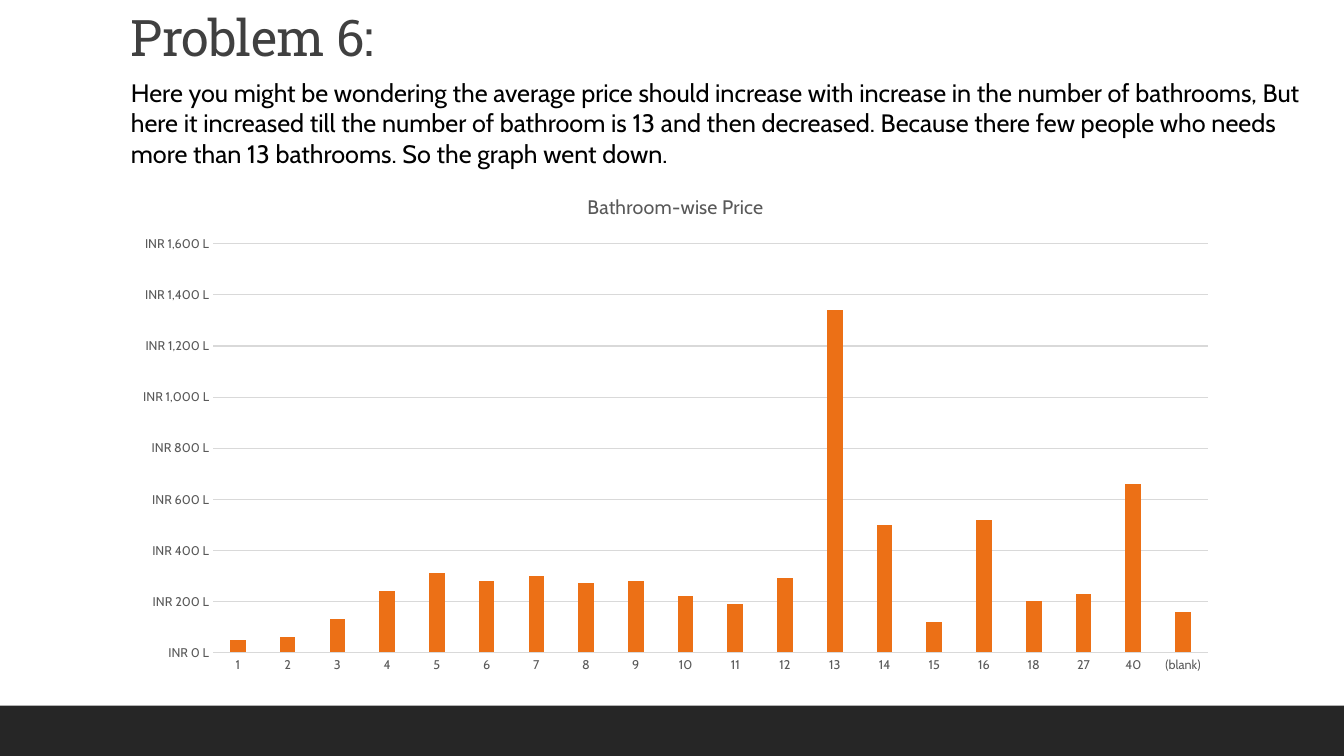
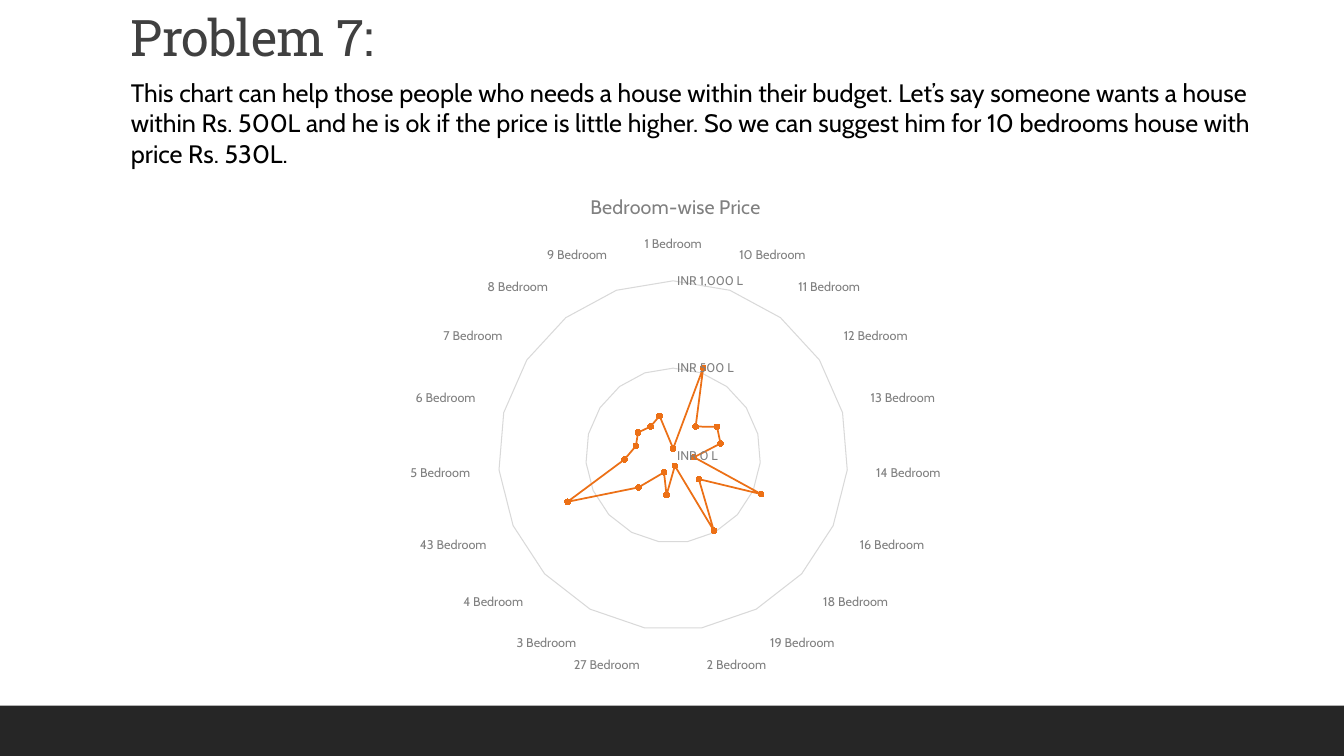
from pptx import Presentation, util as u
from pptx.chart.data import CategoryChartData
from pptx.dml.color import RGBColor
from pptx.enum import chart as ch, shapes, text

WIDTH, HEIGHT = 13.33, 7.5
LEFT, CONTENT_WIDTH = 1.2, 11
TITLE_TOP, BODY_TOP, CHART_TOP, CHART_BOTTOM, BAND_TOP = 0.08, 0.72, 1.73, 6.77, 7
HEADING_FONT, BODY_FONT = "Roboto Slab", "Cabin"
BAND, HEADING, BODY, ACCENT, GRID = "262626", "404040", "000000", "EC7016", "D9D9D9"
PRICE_FORMAT = r"[$INR]\ #,##0\ \L"

PROBLEMS = [
    {
        "heading": "Problem 6:",
        "lines": [
            "Here you might be wondering the average price should increase with increase in the number of bathrooms, But",
            "here it increased till the number of bathroom is 13 and then decreased. Because there few people who needs",
            "more than 13 bathrooms. So the graph went down.",
        ],
        "body_width": 12.02,
        "kind": ch.XL_CHART_TYPE.COLUMN_CLUSTERED,
        "chart_title": "Bathroom-wise Price",
        "label_color": "595959",
        "scale": (1600, 200),
        "prices": [
            ("1", 50), ("2", 60), ("3", 130), ("4", 240), ("5", 310),
            ("6", 280), ("7", 300), ("8", 270), ("9", 280), ("10", 220),
            ("11", 190), ("12", 290), ("13", 1340), ("14", 500), ("15", 120),
            ("16", 520), ("18", 200), ("27", 230), ("40", 660), ("(blank)", 160),
        ],
    },
    {
        "heading": "Problem 7:",
        "lines": [
            "This chart can help those people who needs a house within their budget. Let’s say someone wants a house",
            "within Rs. 500L and he is ok if the price is little higher. So we can suggest him for 10 bedrooms house with",
            "price Rs. 530L.",
        ],
        "body_width": 11.62,
        "kind": ch.XL_CHART_TYPE.RADAR_MARKERS,
        "chart_title": "Bedroom-wise Price",
        "label_color": "808080",
        "scale": (1000, 500),
        "prices": [
            (f"{rooms} Bedroom", price) for rooms, price in [
                (1, 40), (10, 530), (11, 210), (12, 300), (13, 280),
                (14, 120), (16, 550), (18, 200), (19, 490), (2, 60),
                (27, 230), (3, 110), (4, 270), (43, 660), (5, 280),
                (6, 220), (7, 240), (8, 210), (9, 240),
            ]
        ],
    },
]


def rgb(value):
    return RGBColor.from_string(value)


def box(left, top, width, height):
    return [u.Inches(v) for v in (left, top, width, height)]


def style(font, name, size, color):
    font.name, font.size, font.bold = name, u.Pt(size), False
    font.color.rgb = rgb(color)


def rule(line, color, width):
    line.color.rgb = rgb(color)
    line.width = u.Pt(width)


def add_text(slide, place, lines, font, size, color, wrap):
    frame = slide.shapes.add_textbox(*box(*place)).text_frame
    frame.word_wrap = wrap
    frame.vertical_anchor = text.MSO_ANCHOR.TOP
    frame.text = "\n".join(lines)
    for paragraph in frame.paragraphs:
        style(paragraph.runs[0].font, font, size, color)
    return frame


def add_band(slide):
    band = slide.shapes.add_shape(
        shapes.MSO_SHAPE.RECTANGLE, *box(0, BAND_TOP, WIDTH, HEIGHT - BAND_TOP))
    band.shadow.inherit = False
    band.fill.solid()
    band.fill.fore_color.rgb = rgb(BAND)
    band.line.fill.background()


def add_heading(slide, heading):
    place = (LEFT, TITLE_TOP, CONTENT_WIDTH, BODY_TOP - TITLE_TOP)
    paragraph = add_text(slide, place, [heading], HEADING_FONT, 36, HEADING, True).paragraphs[0]
    paragraph.line_spacing = 0.9
    paragraph.runs[0]._r.get_or_add_rPr().set("spc", "-50")


def style_axes(chart, label_color, scale):
    categories, values = chart.category_axis, chart.value_axis
    for axis in (categories, values):
        axis.major_tick_mark = axis.minor_tick_mark = ch.XL_TICK_MARK.NONE
        style(axis.tick_labels.font, BODY_FONT, 9, label_color)
    categories.has_major_gridlines = False
    rule(categories.format.line, GRID, 0.75)
    values.minimum_scale = 0
    values.maximum_scale, values.major_unit = scale
    values.has_major_gridlines = True
    rule(values.major_gridlines.format.line, GRID, 0.75)
    values.format.line.fill.background()
    values.tick_labels.number_format = PRICE_FORMAT
    values.tick_labels.number_format_is_linked = False


def style_columns(plot):
    plot.gap_width, plot.overlap = 219, -27
    fill = plot.series[0].format.fill
    fill.solid()
    fill.fore_color.rgb = rgb(ACCENT)


def style_radar(plot):
    prices = plot.series[0]
    prices.smooth = False
    rule(prices.format.line, ACCENT, 1.25)
    marker = prices.marker
    marker.style, marker.size = ch.XL_MARKER_STYLE.CIRCLE, 4
    marker.format.fill.solid()
    marker.format.fill.fore_color.rgb = rgb(ACCENT)
    marker.format.line.fill.background()


def add_price_chart(slide, problem):
    names, prices = zip(*problem["prices"])
    data = CategoryChartData(number_format=PRICE_FORMAT)
    data.categories = names
    data.add_series("Series 1", prices)
    place = box(LEFT, CHART_TOP, CONTENT_WIDTH, CHART_BOTTOM - CHART_TOP)
    chart = slide.shapes.add_chart(problem["kind"], *place, data).chart
    style(chart.font, BODY_FONT, 10, BODY)
    chart.has_legend = False
    chart.has_title = True
    chart.chart_title.include_in_layout = False
    title = chart.chart_title.text_frame
    title.text = problem["chart_title"]
    style(title.paragraphs[0].runs[0].font, BODY_FONT, 14, problem["label_color"])
    style_axes(chart, problem["label_color"], problem["scale"])
    plot = chart.plots[0]
    plot.vary_by_categories = False
    if problem["kind"] == ch.XL_CHART_TYPE.RADAR_MARKERS:
        style_radar(plot)
    else:
        style_columns(plot)


def main():
    deck = Presentation()
    deck.slide_width, deck.slide_height = u.Inches(WIDTH), u.Inches(HEIGHT)
    for problem in PROBLEMS:
        slide = deck.slides.add_slide(deck.slide_layouts[6])
        add_band(slide)
        add_heading(slide, problem["heading"])
        place = (LEFT, BODY_TOP, problem["body_width"], CHART_TOP - BODY_TOP)
        add_text(slide, place, problem["lines"], BODY_FONT, 18, BODY, False)
        add_price_chart(slide, problem)
    deck.save("out.pptx")


if __name__ == "__main__":
    main()
